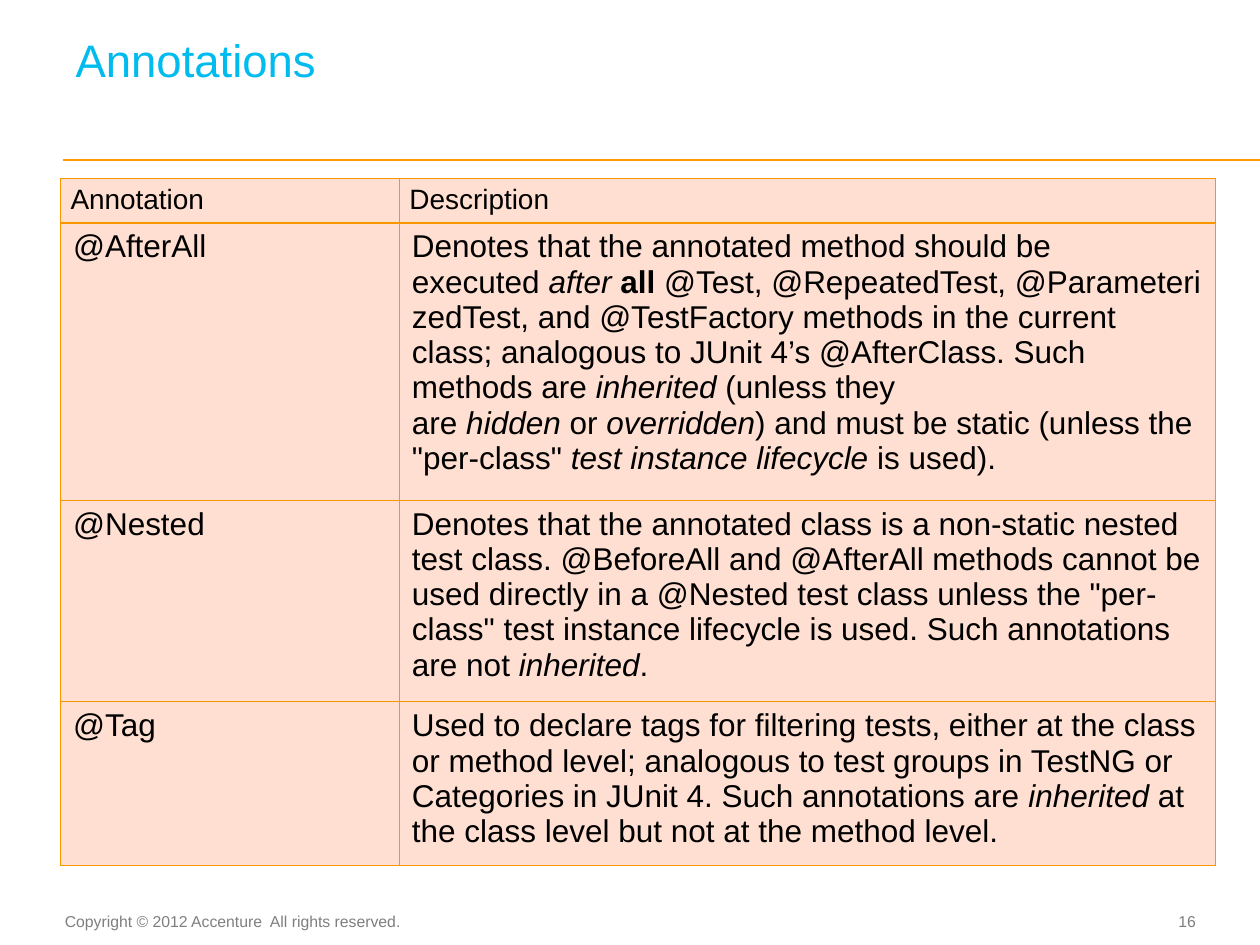
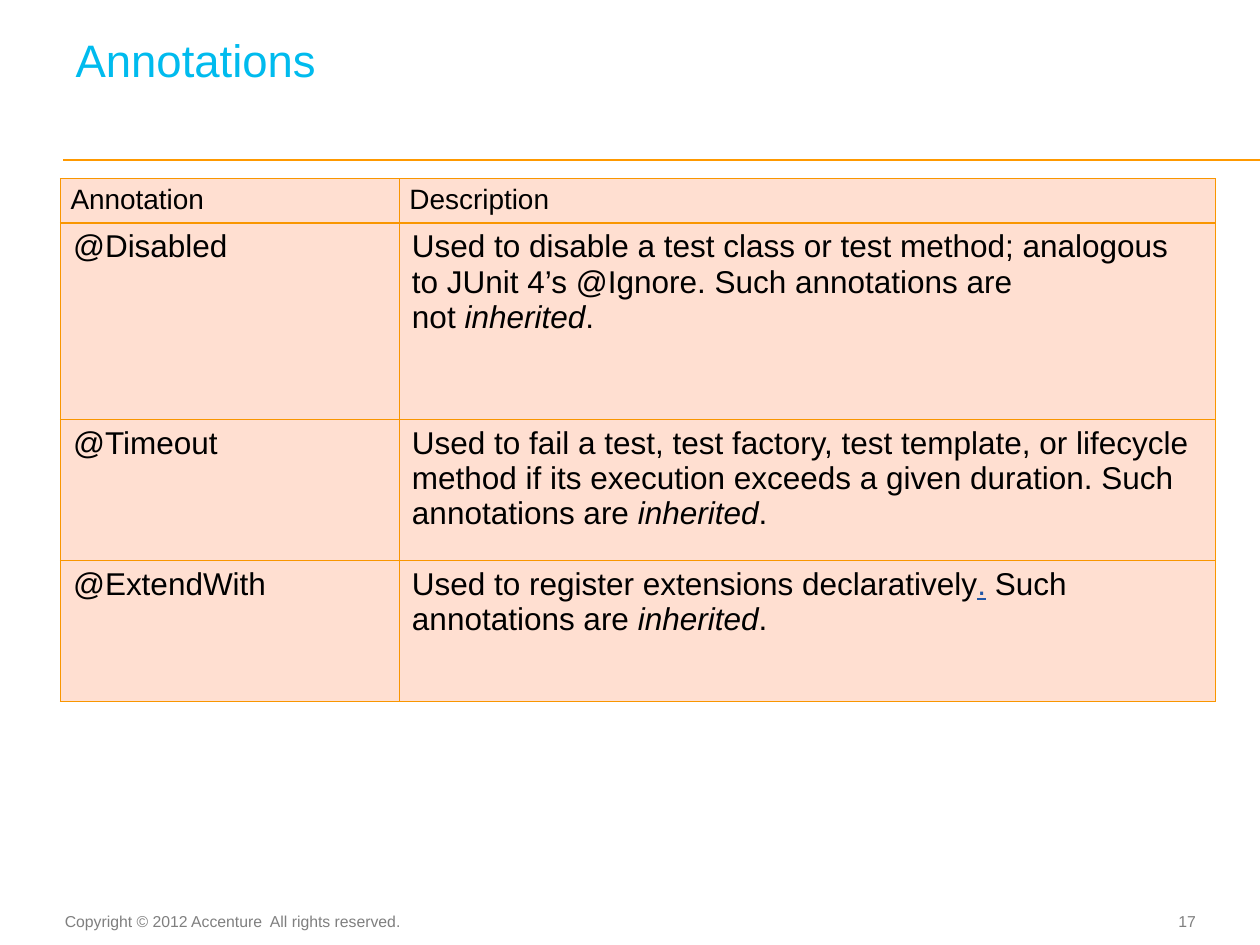
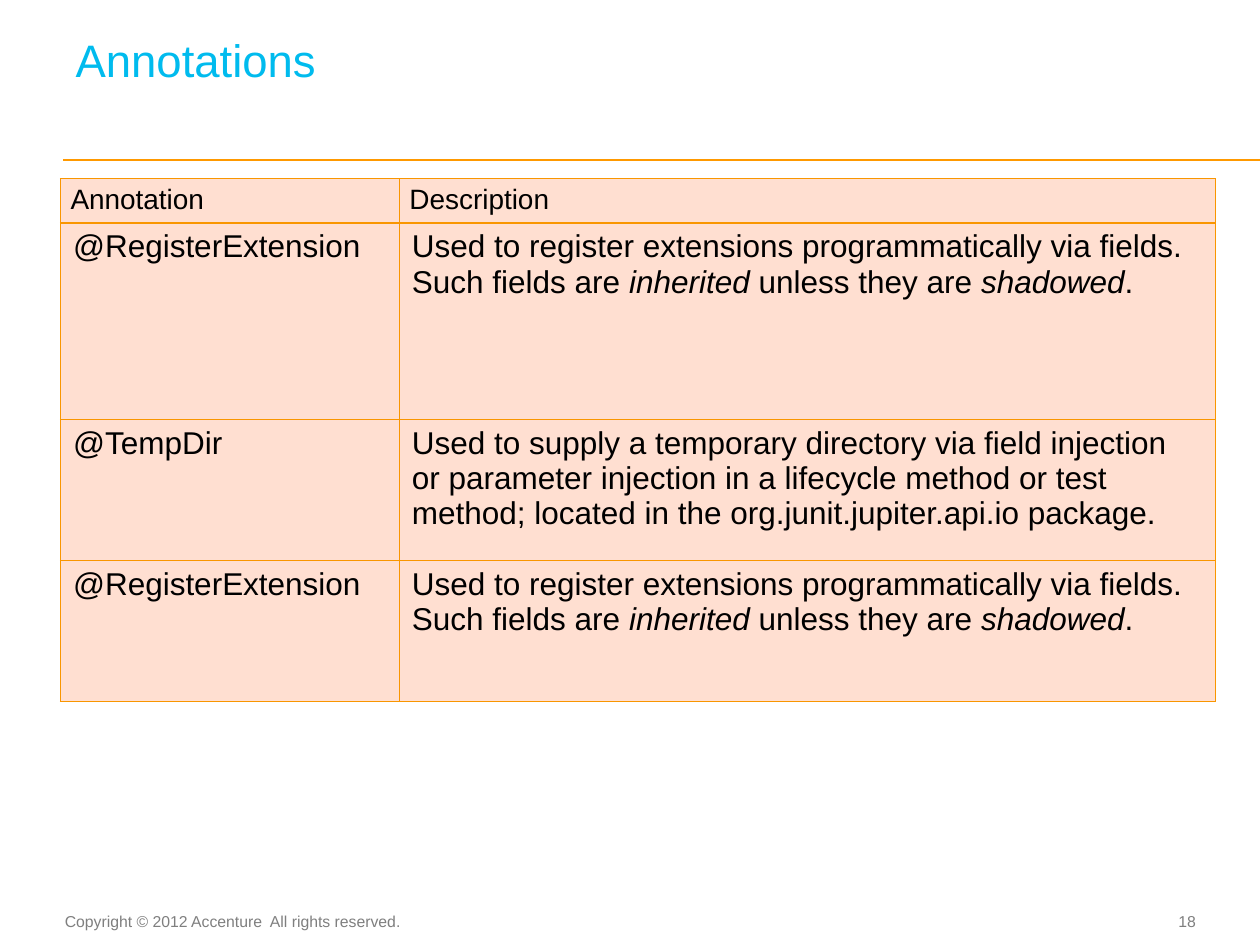
from lxml import etree
from pptx import Presentation
from pptx.dml.color import RGBColor
from pptx.enum import shapes, text
from pptx.oxml import ns
from pptx.util import Inches, Pt

COLORS = {
    "title": "00BBEE",
    "rule": "FF9900",
    "border": "F99600",
    "cell": "FFDFD1",
    "body": "000000",
    "link": "2156A5",
    "footer": "7F7F7F",
}
FONT = "Arial"
HARD_SPACE = chr(160)
COLUMN_WIDTHS = (2.69, 6.48)
ROW_HEIGHTS = (0.35, 1.56, 1.12, 1.12)
HEADINGS = ("Annotation", "Description")
COPYRIGHT = "Copyright © 2012 Accenture  All rights reserved."
FIRST_NUMBER = 16

INHERITED = ("inherited", "italic")
REGISTER_EXTENSION = (
    "@RegisterExtension",
    ["Used to~register extensions programmatically~via fields. Such fields are~",
     INHERITED, "~unless they are~", ("shadowed", "italic"), "."],
)
PAGES = [
    (4.85, [
        ("@AfterAll",
         ["Denotes that the annotated method should be executed~",
          ("after~", "italic"), ("all", "bold"),
          "~@Test,~@RepeatedTest,~@ParameterizedTest, and~@TestFactory~methods in the "
          "current class; analogous to JUnit 4’s~@AfterClass. Such methods are~",
          INHERITED, "~(unless they are~", ("hidden", "italic"), "~or~",
          ("overridden", "italic"), ') and must be~static~(unless the "per-class"~',
          ("test instance lifecycle", "italic"), "~is used)."]),
        ("@Nested",
         ["Denotes that the annotated class is a non-static~nested test class."
          "~@BeforeAll~and~@AfterAll~methods cannot be used directly in a~@Nested~test "
          'class unless the "per-class"~test instance lifecycle~is used. '
          "Such annotations are not~", INHERITED, "."]),
        ("@Tag",
         ["Used to declare~tags for filtering tests, either at the class or method "
          "level; analogous to test groups in TestNG or Categories in JUnit 4. "
          "Such annotations are~", INHERITED,
          "~at the class level but not at the method level."]),
    ]),
    (4.17, [
        ("@Disabled",
         ["Used to~disable~a test class or test method; analogous to JUnit 4’s"
          "~@Ignore. Such annotations are not~", INHERITED, "."]),
        ("@Timeout",
         ["Used to fail a test, test factory, test template, or lifecycle method if "
          "its execution exceeds a given duration. Such annotations are~",
          INHERITED, "."]),
        ("@ExtendWith",
         ["Used to~register extensions declaratively", (".", "link"),
          " Such annotations are~", INHERITED, "."]),
    ]),
    (4.17, [
        REGISTER_EXTENSION,
        ("@TempDir",
         ["Used to supply a~temporary directory~via field injection or parameter "
          "injection in a lifecycle method or test method; located in the"
          "~org.junit.jupiter.api.io~package."]),
        REGISTER_EXTENSION,
    ]),
]


def rgb(name):
    return RGBColor.from_string(COLORS[name])


def style_font(font, size, color):
    font.name = FONT
    font.size = Pt(size)
    font.color.rgb = rgb(color)


def set_margins(area, left, top, right, bottom):
    area.margin_left, area.margin_top = Inches(left), Inches(top)
    area.margin_right, area.margin_bottom = Inches(right), Inches(bottom)


def add_title(slide, wording, left, top, width, height):
    title = slide.shapes.title
    title.left, title.top = Inches(left), Inches(top)
    title.width, title.height = Inches(width), Inches(height)
    frame = title.text_frame
    frame.text = wording
    frame.auto_size = text.MSO_AUTO_SIZE.NONE
    frame.vertical_anchor = text.MSO_ANCHOR.BOTTOM
    set_margins(frame, 0.1, 0, 0, 0.36)
    heading = frame.paragraphs[0]
    heading.alignment = text.PP_ALIGN.LEFT
    heading.line_spacing = Pt(26)
    style_font(heading.runs[0].font, 26, "title")


def add_rule(slide, left, top, right):
    rule = slide.shapes.add_connector(
        shapes.MSO_CONNECTOR.STRAIGHT,
        Inches(left), Inches(top), Inches(right), Inches(top))
    rule.line.color.rgb = rgb("rule")
    rule.line.width = Pt(1)
    etree.SubElement(rule._element.spPr, ns.qn("a:effectLst"))


def add_footer_text(slide, wording, box, margins, alignment, anchor):
    note = slide.shapes.add_textbox(*map(Inches, box))
    frame = note.text_frame
    frame.word_wrap = True
    frame.vertical_anchor = anchor
    set_margins(frame, *margins)
    frame.text = wording
    frame.paragraphs[0].alignment = alignment
    style_font(frame.paragraphs[0].runs[0].font, 9, "footer")


def add_footer(slide, number, left, top, width):
    add_footer_text(slide, COPYRIGHT, (left, top + 0.01, 2.81, 0.25),
                    (0, 0.05, 0.1, 0.05), text.PP_ALIGN.CENTER, text.MSO_ANCHOR.TOP)
    add_footer_text(slide, str(number), (left + width - 0.59, top, 0.59, 0.27),
                    (0, 0, 0, 0), text.PP_ALIGN.RIGHT, text.MSO_ANCHOR.MIDDLE)


def add_borders(cell):
    properties = cell._tc.get_or_add_tcPr()
    for position, side in enumerate(("lnL", "lnR", "lnT", "lnB")):
        border = etree.Element(ns.qn(f"a:{side}"), w=str(Pt(0.75)))
        fill = etree.SubElement(border, ns.qn("a:solidFill"))
        etree.SubElement(fill, ns.qn("a:srgbClr"), val=COLORS["border"])
        properties.insert(position, border)


def fill_cell(cell, pieces, size, margins):
    cell.fill.solid()
    cell.fill.fore_color.rgb = rgb("cell")
    add_borders(cell)
    set_margins(cell, *margins)
    paragraph = cell.text_frame.paragraphs[0]
    for piece in pieces:
        wording, style = (piece, "plain") if isinstance(piece, str) else piece
        run = paragraph.add_run()
        run.text = wording.replace("~", HARD_SPACE)
        style_font(run.font, size, "link" if style == "link" else "body")
        run.font.bold = style == "bold"
        run.font.italic = style == "italic"
        run.font.underline = style == "link"


def add_annotation_table(slide, entries, left, top, height):
    frame = slide.shapes.add_table(
        len(ROW_HEIGHTS), len(COLUMN_WIDTHS), Inches(left), Inches(top),
        Inches(sum(COLUMN_WIDTHS)), Inches(height))
    table = frame.table
    table.horz_banding = False
    for column, width in zip(table.columns, COLUMN_WIDTHS):
        column.width = Inches(width)
    for row, row_height in zip(table.rows, ROW_HEIGHTS):
        row.height = Inches(row_height)
    frame.height = Inches(height)
    for cell, heading in zip(table.rows[0].cells, HEADINGS):
        fill_cell(cell, [heading], 16, (0.08, 0.04, 0.08, 0.04))
    for index, (annotation, description) in enumerate(entries, 1):
        for column, pieces in enumerate(([annotation], description)):
            fill_cell(table.cell(index, column), pieces, 18, (0.1, 0.05, 0.1, 0.05))


def add_annotation_slide(deck, number, table_height, entries):
    slide = deck.slides.add_slide(deck.slide_layouts.get_by_name("Title Only"))
    add_rule(slide, 0.5, 1.27, 10)
    add_footer(slide, number, 0.49, 7.18, 9)
    add_title(slide, "Annotations", 0.5, 0.19, 8.97, 0.86)
    add_annotation_table(slide, entries, 0.48, 1.42, table_height)


def main():
    deck = Presentation()
    deck.slide_width, deck.slide_height = Inches(10), Inches(7.5)
    for number, (table_height, entries) in enumerate(PAGES, FIRST_NUMBER):
        add_annotation_slide(deck, number, table_height, entries)
    deck.save("out.pptx")


if __name__ == "__main__":
    main()
